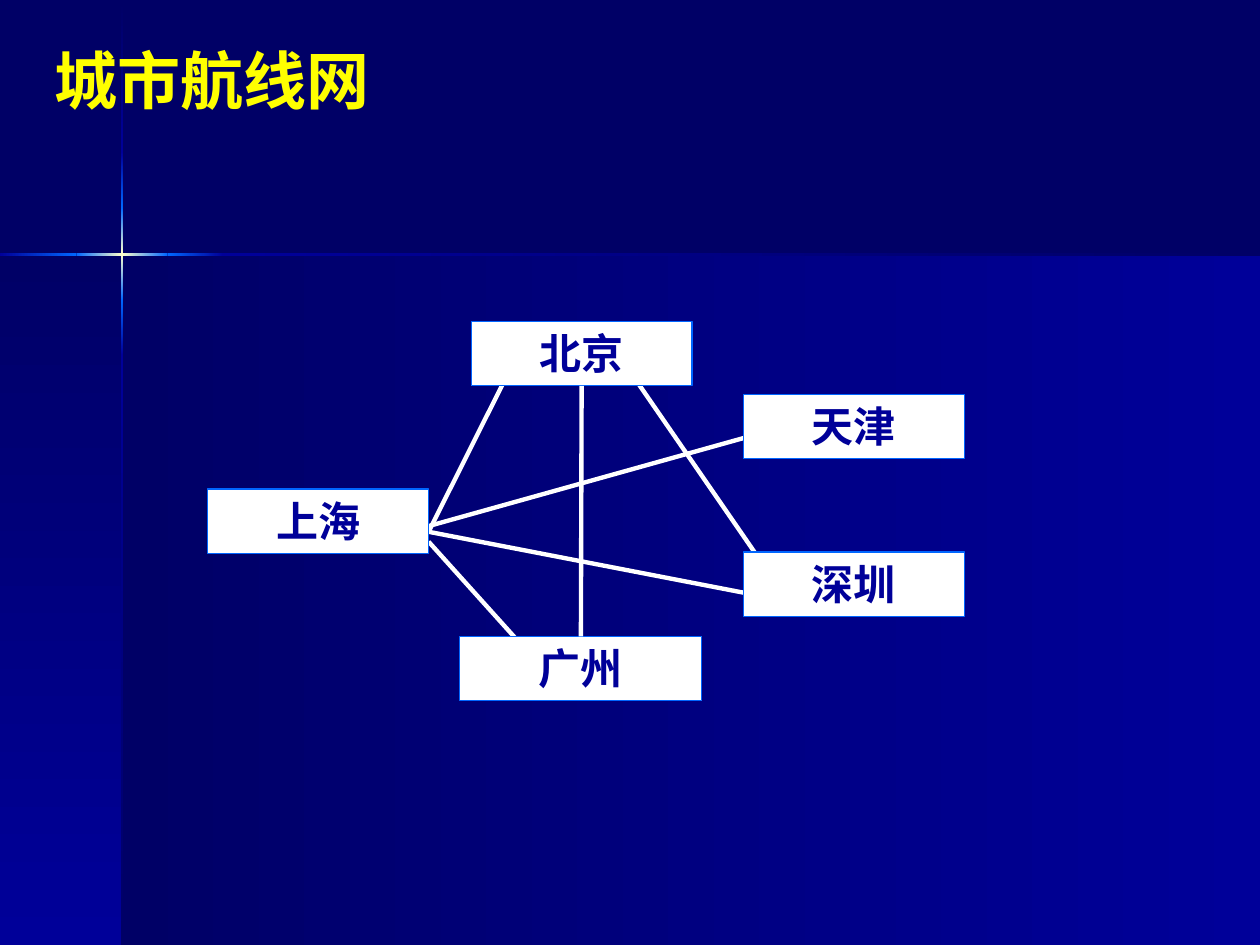
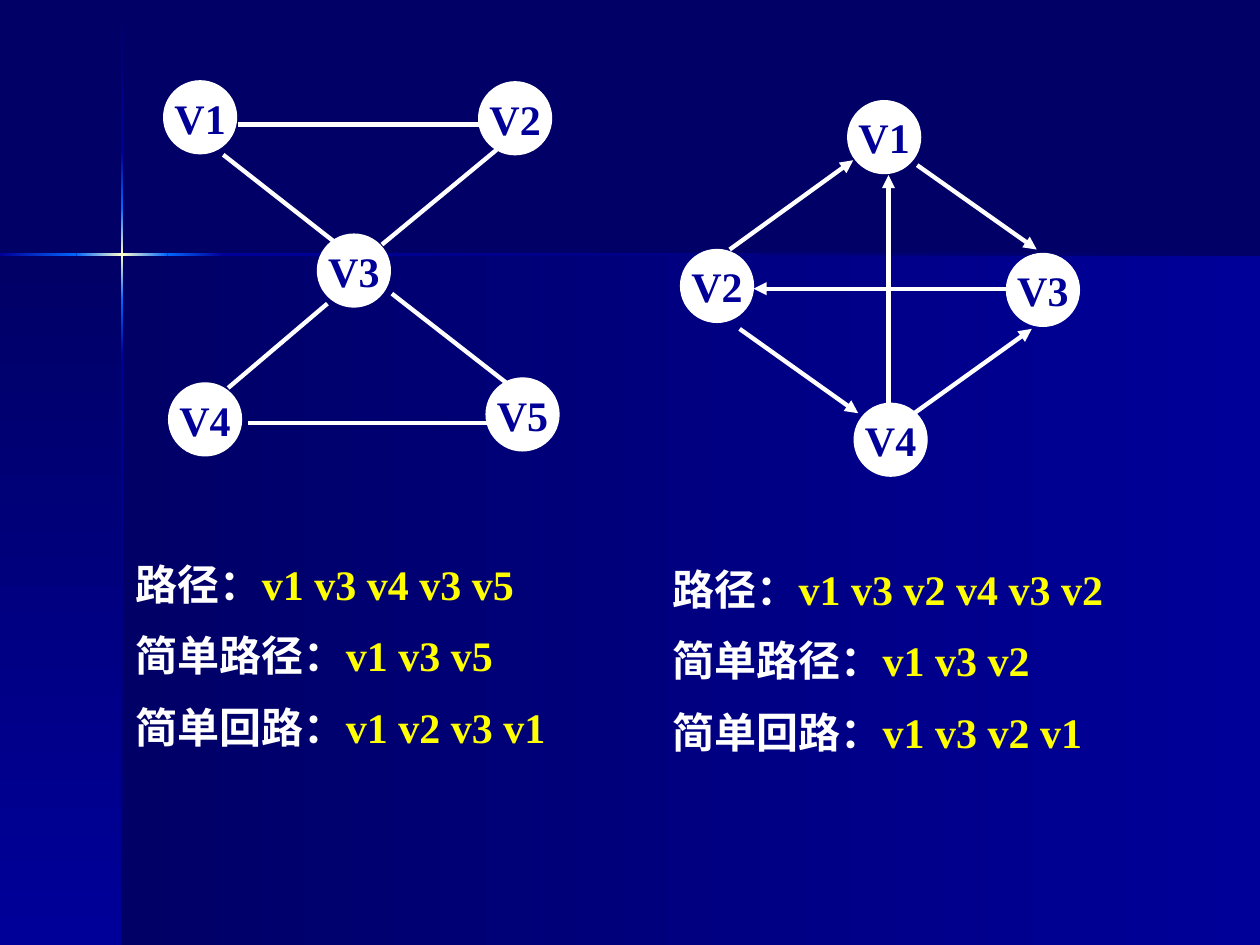
import copy

import pptx
import pptx.dml.color
import pptx.enum.shapes
import pptx.enum.text
import pptx.oxml
import pptx.oxml.ns
import pptx.util
from pptx.util import Cm

RGB = pptx.dml.color.RGBColor
SHAPE = pptx.enum.shapes.MSO_SHAPE
ALIGN = pptx.enum.text.PP_ALIGN
ANCHOR = pptx.enum.text.MSO_ANCHOR

NAVY = RGB(0x00, 0x00, 0x66)
BLUE = RGB(0x00, 0x00, 0x99)
BRIGHT = RGB(0x00, 0x66, 0xFF)
CREAM = RGB(0xFF, 0xFF, 0xCC)
WHITE = RGB(0xFF, 0xFF, 0xFF)
YELLOW = RGB(0xFF, 0xFF, 0x00)
BODY_FONT, TITLE_FONT = "Times New Roman", "Lato"

# All places below are in centimetres
SLIDE_W, SLIDE_H = 25.4, 19.05
CROSS_X, CROSS_Y, RAY = 2.46, 5.13, 0.05

# Light rays: where the colours change, and the colours of each stretch
RAY_COLOURS = [(NAVY, BLUE), (BLUE, BRIGHT), (BRIGHT, CREAM, BRIGHT),
               (BRIGHT, BLUE), (BLUE, NAVY)]
RAY_DOWN = [0.03, 3.07, 4.19, 6.05, 7.16, SLIDE_H]
RAY_ACROSS = [0, 1.54, 3.38, 4.5, SLIDE_W]

# Slide 1: city network
NETWORK_TITLE = "城市航线网"
CITY_W, CITY_H = 4.45, 1.3
CITIES = {  # left, top, width
    "天津": (14.99, 7.95, CITY_W),
    "北京": (9.5, 6.48, CITY_W),
    "上海": (4.19, 9.86, CITY_W),
    "广州": (9.27, 12.83, 4.88),
    "深圳": (14.99, 11.13, CITY_W),
}
ROUTES = [
    ((10.13, 7.75), (8.64, 10.72)),
    ((8.64, 10.92), (10.54, 13.03)),
    ((8.23, 10.72), (15.85, 8.59)),
    ((8.64, 10.72), (15.21, 11.99)),
    ((12.88, 7.75), (15.21, 11.13)),
]
STRAIGHT_ROUTE = ("北京", "广州")

# Slide 2: two graphs with their paths
NODE_SIZE = 1.47
GRAPHS = [
    {
        "directed": False,
        "nodes": {"V1": (3.3, 1.63), "V2": (9.65, 1.65), "V3": (6.4, 4.72),
                  "V4": (3.4, 7.72), "V5": (9.8, 7.62)},
        "edges": [((4.8, 2.51), (9.7, 2.51)), ((5, 8.53), (9.91, 8.53)),
                  ((4.6, 7.82), (6.6, 6.12)), ((7.9, 5.92), (10.21, 7.72)),
                  ((4.5, 3.12), (6.81, 4.93)), ((7.7, 4.93), (10.01, 3.02))],
        "paths_at": (2.49, 11.13),
        "paths": [("路径：", "v1 v3 v4 v3 v5"), ("简单路径：", "v1 v3 v5"),
                  ("简单回路：", "v1 v2 v3 v1")],
    },
    {
        "directed": True,
        "nodes": {"V1": (17.09, 2.03), "V2": (13.72, 5.03),
                  "V3": (20.29, 5.11), "V4": (17.22, 8.13)},
        "edges": [((17.91, 8.13), (17.91, 3.53)), ((20.27, 5.82), (15.19, 5.82)),
                  ((18.49, 3.33), (20.9, 5.03)), ((14.91, 6.63), (17.3, 8.33)),
                  ((14.71, 5.03), (17.2, 3.23)), ((18.29, 8.43), (20.8, 6.63))],
        "paths_at": (13.31, 11.23),
        "paths": [("路径：", "v1 v3 v2 v4 v3 v2"), ("简单路径：", "v1 v3 v2"),
                  ("简单回路：", "v1 v3 v2 v1")],
    },
]


def write(frame, lines, size=24, font=BODY_FONT, align=ALIGN.LEFT,
          anchor=ANCHOR.TOP, wrap=True, before=0):
    """Fill a text frame; each line is a list of (text, colour) runs."""
    frame.word_wrap = wrap
    frame.vertical_anchor = anchor
    frame.auto_size = pptx.enum.text.MSO_AUTO_SIZE.NONE
    for i, line in enumerate(lines):
        paragraph = frame.add_paragraph() if i else frame.paragraphs[0]
        paragraph.alignment = align
        paragraph.space_before = pptx.util.Pt(before)
        for text, colour in line:
            run = paragraph.add_run()
            run.text = text
            run.font.name, run.font.size, run.font.bold = font, pptx.util.Pt(size), True
            run.font.color.rgb = colour


def add_gradient(slide, box, colours, down):
    band = slide.shapes.add_shape(SHAPE.RECTANGLE, *map(Cm, box))
    band.shadow.inherit = False
    band.line.fill.background()
    band.fill.gradient()
    band.fill.gradient_angle = 270 if down else 0
    stops = next(band.element.iter(pptx.oxml.ns.qn("a:gsLst")))
    while len(stops) < len(colours):
        stops.append(copy.deepcopy(stops[0]))
    for i, (stop, colour) in enumerate(zip(band.fill.gradient_stops, colours)):
        stop.position = i / (len(colours) - 1)
        stop.color.rgb = colour
    return band


def add_backdrop(master, slide):
    """Draw the panels and rays, then hand them over to the master."""
    master.background.fill.solid()
    master.background.fill.fore_color.rgb = NAVY
    panel_h = SLIDE_H - CROSS_Y
    bands = [
        ((CROSS_X, CROSS_Y, SLIDE_W - CROSS_X, panel_h), (NAVY, BLUE), False),
        ((0, CROSS_Y, CROSS_X, panel_h), (NAVY, BLUE), True),
    ]
    for top, bottom, colours in zip(RAY_DOWN, RAY_DOWN[1:], RAY_COLOURS):
        bands.append(((CROSS_X - RAY / 2, top, RAY, bottom - top), colours, True))
    for left, right, colours in zip(RAY_ACROSS, RAY_ACROSS[1:], RAY_COLOURS[1:]):
        bands.append(((left, CROSS_Y - RAY / 2, right - left, RAY), colours, False))
    for i, band in enumerate(bands):
        master.shapes.element.insert(2 + i, add_gradient(slide, *band).element)


def add_line(slide, start, end, arrow=False):
    line = slide.shapes.add_connector(
        pptx.enum.shapes.MSO_CONNECTOR.STRAIGHT, *map(Cm, start + end))
    line.line.color.rgb = WHITE
    line.line.width = pptx.util.Pt(2.5)
    properties = line.element.spPr
    pptx.oxml.ns.qn("a:effectLst")
    properties.append(properties.makeelement(pptx.oxml.ns.qn("a:effectLst"), {}))
    if arrow:
        outline = properties.find(pptx.oxml.ns.qn("a:ln"))
        outline.append(outline.makeelement(
            pptx.oxml.ns.qn("a:tailEnd"), {"type": "triangle"}))
    return line


def add_label(slide, kind, box, text, outline, **text_format):
    label = slide.shapes.add_shape(kind, *map(Cm, box))
    label.shadow.inherit = False
    label.fill.solid()
    label.fill.fore_color.rgb = WHITE
    label.line.color.rgb = outline
    label.line.width = pptx.util.Pt(0.75)
    write(label.text_frame, [[(text, BLUE)]], align=ALIGN.CENTER, **text_format)
    return label


def fill_network(slide):
    title = slide.shapes.title
    title.left, title.top, title.width, title.height = map(Cm, (0.84, 0.64, 21.39, 1.9))
    write(title.text_frame, [[(NETWORK_TITLE, YELLOW)]], size=36,
          font=TITLE_FONT, anchor=ANCHOR.MIDDLE)
    for start, end in ROUTES:
        add_line(slide, start, end)
    boxes = {
        city: add_label(slide, SHAPE.RECTANGLE, (*place, CITY_H), city, BRIGHT)
        for city, place in CITIES.items()
    }
    # This route runs between the middles of two sides
    north, south = STRAIGHT_ROUTE
    route = add_line(slide, (0, 0), (0, 0))
    route.begin_connect(boxes[north], 2)
    route.end_connect(boxes[south], 0)


def fill_graph(slide, graph):
    for start, end in graph["edges"]:
        add_line(slide, start, end, arrow=graph["directed"])
    for node, place in graph["nodes"].items():
        add_label(slide, SHAPE.FLOWCHART_CONNECTOR, (*place, NODE_SIZE, NODE_SIZE),
                  node, WHITE, anchor=ANCHOR.MIDDLE, wrap=False)
    paths = slide.shapes.add_textbox(*map(Cm, (*graph["paths_at"], 9.7, 4.32)))
    write(paths.text_frame,
          [[(name, WHITE), (route, YELLOW)] for name, route in graph["paths"]],
          before=12)


def main():
    deck = pptx.Presentation()
    deck.slide_width, deck.slide_height = Cm(SLIDE_W), Cm(SLIDE_H)
    network = deck.slides.add_slide(deck.slide_layouts[5])
    add_backdrop(deck.slide_master, network)
    fill_network(network)
    graphs = deck.slides.add_slide(deck.slide_layouts[6])
    for graph in GRAPHS:
        fill_graph(graphs, graph)
    deck.save("out.pptx")


if __name__ == "__main__":
    main()
